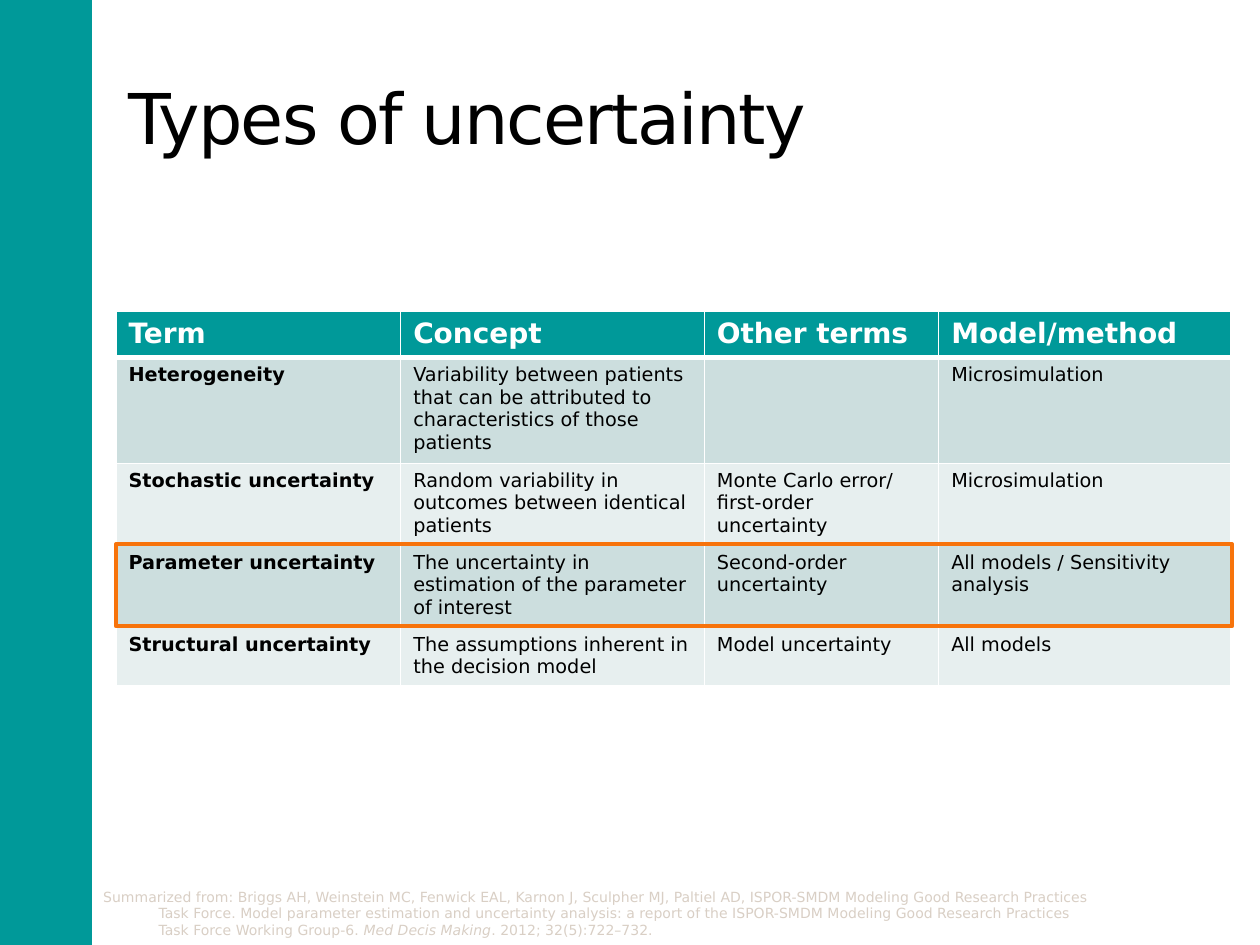
"""Build the slide on types of uncertainty, with its table and source note."""
import dataclasses

import lxml.etree
import pptx
import pptx.dml.color
import pptx.enum.shapes
import pptx.enum.text
import pptx.oxml.ns
import pptx.util

Inches = pptx.util.Inches


@dataclasses.dataclass
class Theme:
    face: str = "DejaVu Sans"
    teal: str = "009999"
    dark: str = "CCDEDE"
    light: str = "E7EFEF"
    black: str = "000000"
    white: str = "FFFFFF"
    note: str = "D9CFC5"
    mark: str = "F7730B"
    title: int = 40
    head: int = 16
    body: int = 11
    small: int = 8


theme = Theme()


def color(code):
    return pptx.dml.color.RGBColor.from_string(code)


def style(font, size, code, **extra):
    look = {"name": theme.face, "size": pptx.util.Pt(size), **extra}
    for key, value in look.items():
        setattr(font, key, value)
    font.color.rgb = color(code)


deck = pptx.Presentation()
deck.slide_width, deck.slide_height = Inches(10), Inches(7.5)
slide = deck.slides.add_slide(deck.slide_layouts[5])
shapes = slide.shapes
rect = pptx.enum.shapes.MSO_SHAPE.RECTANGLE

band = shapes.add_shape(rect, Inches(-0.02), 0, Inches(0.75), Inches(7.5))
band.shadow.inherit = False
band.fill.solid()
band.fill.fore_color.rgb = color(theme.teal)
band.line.fill.background()

title = shapes.title
spot = {"left": 0.92, "top": 0.3, "width": 8.33, "height": 1.25}
for key, value in spot.items():
    setattr(title, key, Inches(value))
frame = title.text_frame
frame.text = "Types of uncertainty"
frame.word_wrap = True
frame.auto_size = pptx.enum.text.MSO_AUTO_SIZE.NONE
frame.vertical_anchor = pptx.enum.text.MSO_ANCHOR.MIDDLE
line = frame.paragraphs[0]
line.alignment = pptx.enum.text.PP_ALIGN.LEFT
style(line.runs[0].font, theme.title, theme.black)
line.runs[0].font._element.set("spc", "-100")

note = shapes.add_textbox(Inches(0.72), Inches(7), Inches(8.11), Inches(0.5))
note.text_frame.word_wrap = True
line = note.text_frame.paragraphs[0]
props = line._p.get_or_add_pPr()
props.set("marL", str(Inches(0.44)))
props.set("indent", str(Inches(-0.44)))
parts = [
    ("Summarized from: Briggs AH, Weinstein MC, Fenwick EAL, Karnon J, "
     "Sculpher MJ, Paltiel AD, ISPOR-SMDM Modeling Good Research Practices "
     "Task Force. Model parameter estimation and uncertainty analysis: a "
     "report of the ISPOR-SMDM Modeling Good Research Practices Task Force "
     "Working Group-6. ", False),
    ("Med Decis Making", True),
    (". 2012; 32(5):722–732.", False),
]
for text, slant in parts:
    run = line.add_run()
    run.text = text
    style(run.font, theme.small, theme.note, italic=slant)

rows = [
    ("Term", "Concept", "Other terms", "Model/method"),
    ("Heterogeneity",
     "Variability between patients that can be attributed to "
     "characteristics of those patients", "", "Microsimulation"),
    ("Stochastic uncertainty",
     "Random variability in outcomes between identical patients",
     "Monte Carlo error/ first-order uncertainty", "Microsimulation"),
    ("Parameter uncertainty",
     "The uncertainty in estimation of the parameter of interest",
     "Second-order uncertainty", "All models / Sensitivity analysis"),
    ("Structural uncertainty",
     "The assumptions inherent in the decision model",
     "Model uncertainty", "All models"),
]
wide = [2.26, 2.41, 1.86, 2.32]
tall = [0.36, 0.84, 0.65, 0.65, 0.46]
grid = shapes.add_table(len(rows), len(wide), Inches(0.92), Inches(2.47),
                        Inches(sum(wide)), Inches(sum(tall))).table
for col, size in zip(grid.columns, wide):
    col.width = Inches(size)
for row, size in zip(grid.rows, tall):
    row.height = Inches(size)

qn = pptx.oxml.ns.qn
for i, row in enumerate(rows):
    for j, text in enumerate(row):
        cell = grid.cell(i, j)
        props = cell._tc.get_or_add_tcPr()
        for side in "LRTB":
            thick = 3 if (i, side) in ((0, "B"), (1, "T")) else 1
            edge = lxml.etree.SubElement(props, qn(f"a:ln{side}"),
                                         w=str(pptx.util.Pt(thick)))
            paint = lxml.etree.SubElement(edge, qn("a:solidFill"))
            lxml.etree.SubElement(paint, qn("a:srgbClr"), val=theme.white)
        fill = theme.dark if i % 2 else theme.light
        cell.fill.solid()
        cell.fill.fore_color.rgb = color(fill if i else theme.teal)
        if text:
            cell.text = text
            style(cell.text_frame.paragraphs[0].runs[0].font,
                  theme.body if i else theme.head,
                  theme.black if i else theme.white,
                  bold=i == 0 or j == 0)

frame = shapes.add_shape(rect, Inches(0.92), Inches(4.32),
                         Inches(8.86), Inches(0.65))
frame.shadow.inherit = False
frame.fill.background()
frame.line.color.rgb = color(theme.mark)
frame.line.width = pptx.util.Pt(2.25)

deck.save("out.pptx")
